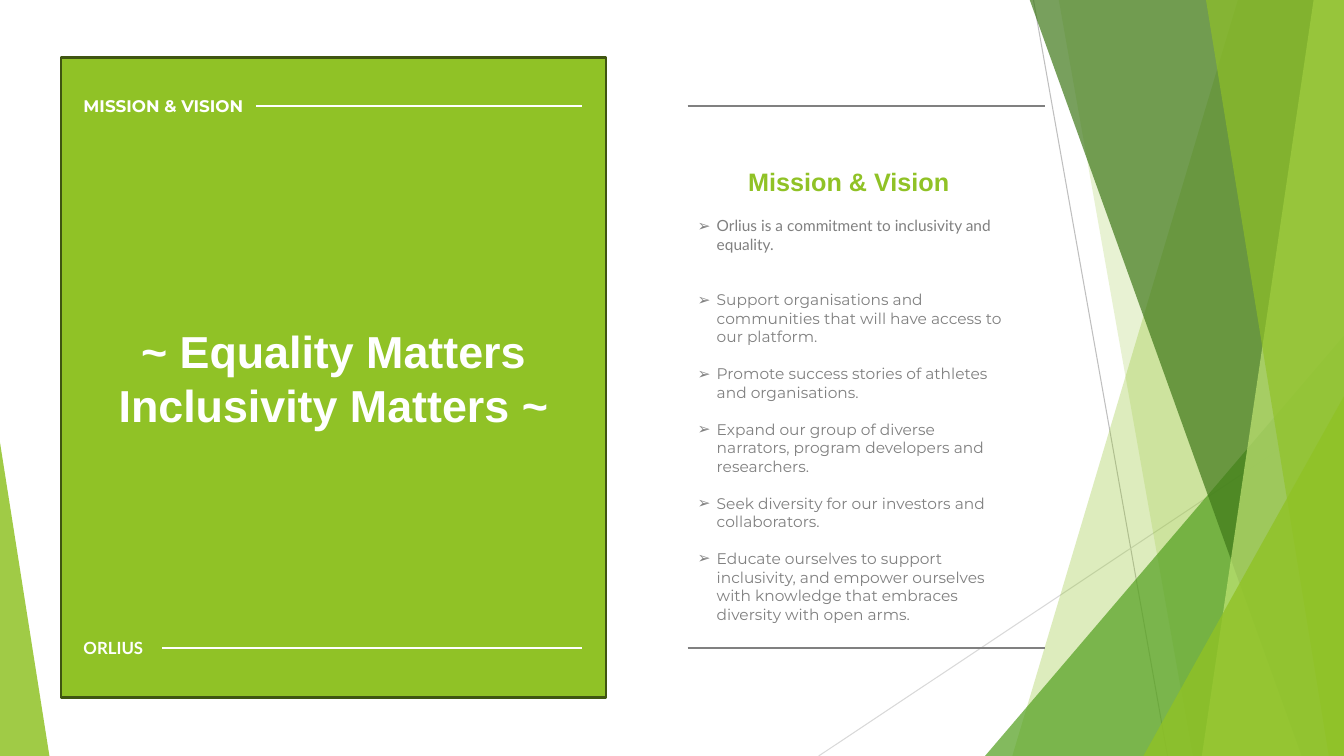
from dataclasses import dataclass

from lxml import etree
from pptx import Presentation
from pptx.dml.color import RGBColor
from pptx.enum.shapes import MSO_CONNECTOR, MSO_SHAPE
from pptx.enum.text import MSO_ANCHOR, MSO_AUTO_SIZE, PP_ALIGN
from pptx.oxml.ns import qn
from pptx.util import Inches, Pt

STRAIGHT = MSO_CONNECTOR.STRAIGHT
RECTANGLE = MSO_SHAPE.RECTANGLE
TRIANGLE = MSO_SHAPE.ISOSCELES_TRIANGLE
TOP, MIDDLE = MSO_ANCHOR.TOP, MSO_ANCHOR.MIDDLE
LEFT, CENTER = PP_ALIGN.LEFT, PP_ALIGN.CENTER
NO_AUTOFIT = MSO_AUTO_SIZE.NONE

WHITE = RGBColor(0xFF, 0xFF, 0xFF)
GREEN = RGBColor(0x90, 0xC2, 0x26)
MID_GREEN = RGBColor(0x54, 0xA0, 0x21)
DARK_GREEN = RGBColor(0x3F, 0x78, 0x19)
PALE_GREEN = RGBColor(0xC0, 0xE4, 0x74)
OUTLINE_GREEN = RGBColor(0x3F, 0x55, 0x11)
GRAY = RGBColor(0x80, 0x80, 0x80)
SILVER = RGBColor(0xBF, 0xBF, 0xBF)
LIGHT_GRAY = RGBColor(0xD9, 0xD9, 0xD9)

WIDTH, HEIGHT = 13.33, 7.5
FACET_TOP = -0.01
UPPER_RULE, LOWER_RULE = 1.05, 6.43
BULLET_INDENT = 0.19
BLANK_LINE = 13.2


@dataclass
class Line:
    x1: float
    y1: float
    x2: float
    y2: float
    color: RGBColor
    weight: float = 1.75


@dataclass
class Facet:
    """A band whose slanted left edge runs from top_x to bottom_x."""
    top_x: float
    bottom_x: float
    color: RGBColor
    opacity: int


@dataclass
class Wedge:
    left: float
    top: float
    width: float
    apex: float
    color: RGBColor
    opacity: int


@dataclass
class Label:
    text: str
    top: float
    width: float
    height: float
    font: str


@dataclass
class Bullet:
    text: str
    font: str = "Montserrat"
    space_before: float = BLANK_LINE


BACK_LINES = [
    Line(10.25, 0, 11.58, HEIGHT, SILVER, 0.75),
    Line(WIDTH, 4.03, 8.12, HEIGHT, LIGHT_GRAY, 0.75),
]
DECORATIONS = [
    Facet(12.28, 10.04, GREEN, 30),
    Facet(10.5, 11.83, GREEN, 20),
    Wedge(9.77, 3.33, 3.56, 1, MID_GREEN, 72),
    Facet(10.21, 12.91, DARK_GREEN, 70),
    Facet(13.03, 11.92, PALE_GREEN, 70),
    Facet(11.96, 13.18, GREEN, 65),
    Wedge(11.34, 3.93, 1.99, 1, GREEN, 80),
    Wedge(0, 4.39, 0.49, 0, GREEN, 85),
]
RULES = [
    Line(2.54, UPPER_RULE, 5.77, UPPER_RULE, WHITE),
    Line(1.61, LOWER_RULE, 5.77, LOWER_RULE, WHITE),
    Line(6.82, UPPER_RULE, 10.36, UPPER_RULE, GRAY),
    Line(6.82, LOWER_RULE, 10.36, LOWER_RULE, GRAY),
]
LABELS = [
    Label("MISSION & VISION", 0.9, 3.17, 0.61, "Montserrat"),
    Label("ORLIUS", 6.28, 2.03, 0.3, "Lato"),
]
BULLETS = [
    Bullet("Orlius is a commitment to inclusivity and equality.", "Lato", 0),
    Bullet("Support organisations and communities that will have access to our platform.",
           space_before=2 * BLANK_LINE),
    Bullet("Promote success stories of athletes and organisations."),
    Bullet("Expand our group of diverse narrators, program developers and researchers."),
    Bullet("Seek diversity for our investors and collaborators."),
    Bullet("Educate ourselves to support inclusivity, and empower ourselves with "
           "knowledge that embraces diversity with open arms."),
]


def add_line(slide, line: Line) -> None:
    connector = slide.shapes.add_connector(
        STRAIGHT, Inches(line.x1), Inches(line.y1), Inches(line.x2), Inches(line.y2))
    connector.line.color.rgb = line.color
    connector.line.width = Pt(line.weight)
    etree.SubElement(connector._element.spPr, qn("a:effectLst"))


def add_decoration(slide, item: Facet | Wedge) -> None:
    if isinstance(item, Facet):
        builder = slide.shapes.build_freeform(Inches(item.top_x), Inches(FACET_TOP))
        corners = [(WIDTH, FACET_TOP), (WIDTH, HEIGHT), (item.bottom_x, HEIGHT)]
        builder.add_line_segments([(Inches(x), Inches(y)) for x, y in corners], close=True)
        shape = builder.convert_to_shape()
    else:
        shape = slide.shapes.add_shape(
            TRIANGLE, Inches(item.left), Inches(item.top),
            Inches(item.width), Inches(HEIGHT - item.top))
        shape.adjustments[0] = item.apex
    shape.shadow.inherit = False
    shape.line.fill.background()
    shape.fill.solid()
    shape.fill.fore_color.rgb = item.color
    color = shape._element.spPr.find(qn("a:solidFill"))[0]
    etree.SubElement(color, qn("a:alpha"), val=str(item.opacity * 1000))


def format_paragraph(paragraph, font: str, size: float, color: RGBColor,
                     bold: bool = False, alignment=LEFT) -> None:
    paragraph.alignment = alignment
    for run in paragraph.runs:
        run.font.name = font
        run.font.size = Pt(size)
        run.font.bold = bold
        run.font.color.rgb = color


def add_panel(slide) -> None:
    panel = slide.shapes.add_shape(
        RECTANGLE, Inches(0.61), Inches(0.57), Inches(5.4), Inches(6.35))
    panel.shadow.inherit = False
    panel.fill.solid()
    panel.fill.fore_color.rgb = GREEN
    panel.line.color.rgb = OUTLINE_GREEN
    panel.line.width = Pt(1.5)
    panel.text_frame.vertical_anchor = MIDDLE
    paragraph = panel.text_frame.paragraphs[0]
    paragraph.text = "~ Equality Matters\vInclusivity Matters ~"
    format_paragraph(paragraph, "Arial", 32, WHITE, True, CENTER)


def add_text_box(slide, left: float, top: float, width: float, height: float):
    box = slide.shapes.add_textbox(Inches(left), Inches(top), Inches(width), Inches(height))
    box.text_frame.word_wrap = True
    return box.text_frame


def add_label(slide, label: Label) -> None:
    frame = add_text_box(slide, 0.73, label.top, label.width, label.height)
    frame.text = label.text
    format_paragraph(frame.paragraphs[0], label.font, 12, WHITE, True)


def place_title(slide) -> None:
    title = slide.shapes.title
    title.left, title.top = Inches(7.32), Inches(1.6)
    title.width, title.height = Inches(3.19), Inches(0.4)
    frame = title.text_frame
    frame.text = "Mission & Vision"
    frame.auto_size = NO_AUTOFIT
    frame.vertical_anchor = TOP
    format_paragraph(frame.paragraphs[0], "Arial", 18, GREEN, True)


def add_bullets(slide) -> None:
    frame = add_text_box(slide, 6.82, 2.1, 3.31, 3.8)
    for index, bullet in enumerate(BULLETS):
        paragraph = frame.add_paragraph() if index else frame.paragraphs[0]
        paragraph.text = bullet.text
        if index:
            paragraph.space_before = Pt(bullet.space_before)
        properties = paragraph._p.get_or_add_pPr()
        properties.set("marL", str(Inches(BULLET_INDENT)))
        properties.set("indent", str(-Inches(BULLET_INDENT)))
        etree.SubElement(properties, qn("a:buFont"), typeface="Arial")
        etree.SubElement(properties, qn("a:buChar"), char="➢")
        format_paragraph(paragraph, bullet.font, 11, GRAY)


def main() -> None:
    presentation = Presentation()
    presentation.slide_width = Inches(WIDTH)
    presentation.slide_height = Inches(HEIGHT)
    slide = presentation.slides.add_slide(presentation.slide_layouts[5])
    for line in BACK_LINES:
        add_line(slide, line)
    for item in DECORATIONS:
        add_decoration(slide, item)
    add_panel(slide)
    for rule in RULES:
        add_line(slide, rule)
    for label in LABELS:
        add_label(slide, label)
    place_title(slide)
    add_bullets(slide)
    presentation.save("out.pptx")


if __name__ == "__main__":
    main()
